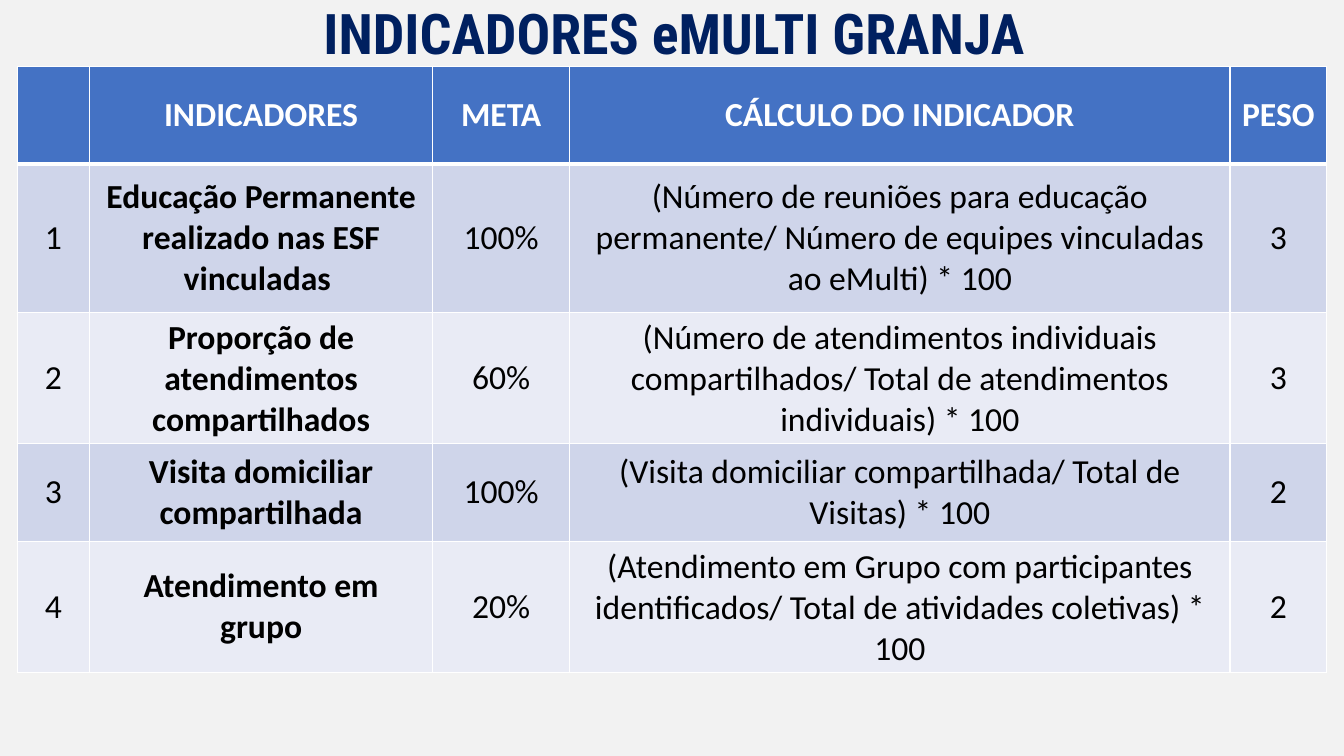
from dataclasses import dataclass

from lxml.etree import SubElement
from pptx import Presentation
from pptx.dml.color import RGBColor
from pptx.enum.text import MSO_ANCHOR, PP_ALIGN
from pptx.oxml.ns import qn
from pptx.util import Inches, Pt

NAVY, BLUE, WHITE, BLACK = "002060", "4472C4", "FFFFFF", "000000"
BACKGROUND = "F2F2F2"
BANDS = ("CFD5EA", "E9EBF5")
COLUMN_WIDTHS = (0.72, 3.4, 1.36, 6.55, 0.96)
HEADERS = ("", "INDICADORES", "META", "CÁLCULO DO INDICADOR", "PESO")
HEADER_HEIGHT = 0.97
HEADER_FONT = {"name": "Calibri", "size": Pt(24), "bold": True}
BODY_FONT = HEADER_FONT | {"bold": False}
TITLE_FONT = {"name": "Roboto Condensed", "size": Pt(40), "bold": True}


@dataclass
class Indicator:
    name: str
    target: str
    formula: str
    weight: int
    height: float


INDICATORS = [
    Indicator("Educação Permanente realizado nas ESF vinculadas ", "100%",
              "(Número de reuniões para educação permanente/ Número de equipes "
              "vinculadas ao eMulti) * 100", 3, 1.47),
    Indicator("Proporção de atendimentos compartilhados", "60%",
              "(Número de atendimentos individuais compartilhados/ Total de "
              "atendimentos individuais) * 100", 3, 1.28),
    Indicator("Visita domiciliar compartilhada", "100%",
              "(Visita domiciliar compartilhada/ Total de Visitas) * 100", 2, 0.97),
    Indicator("Atendimento em grupo", "20%",
              "(Atendimento em Grupo com participantes identificados/ Total de "
              "atividades coletivas) * 100", 2, 1.28),
]


def rgb(value: str) -> RGBColor:
    return RGBColor.from_string(value)


def write(p, text: str, font: dict, color: str) -> None:
    """Put one centred, formatted run in a paragraph."""
    p.alignment = PP_ALIGN.CENTER
    if not text:
        return
    r = p.add_run()
    r.text = text
    for key, value in font.items():
        setattr(r.font, key, value)
    r.font.color.rgb = rgb(color)


def set_borders(cell, top: float = 1, bottom: float = 1) -> None:
    """Draw white borders, widths in points."""
    tc_pr = cell._tc.get_or_add_tcPr()
    for side, width in {"lnL": 1, "lnR": 1, "lnT": top, "lnB": bottom}.items():
        line = SubElement(tc_pr, qn(f"a:{side}"), w=str(Pt(width)))
        SubElement(SubElement(line, qn("a:solidFill")), qn("a:srgbClr"), val=WHITE)


def add_title(s, text: str) -> None:
    tf = s.shapes.add_textbox(Inches(0.17), Inches(-0.07),
                              Inches(13.03), Inches(0.86)).text_frame
    tf.word_wrap = True
    tf.vertical_anchor = MSO_ANCHOR.MIDDLE
    p = tf.paragraphs[0]
    p.line_spacing = 0.9
    write(p, text, TITLE_FONT, NAVY)


def add_indicator_table(s, indicators: list[Indicator]) -> None:
    rows = [HEADERS] + [(str(number), i.name, i.target, i.formula, str(i.weight))
                        for number, i in enumerate(indicators, 1)]
    heights = [HEADER_HEIGHT] + [i.height for i in indicators]
    table = s.shapes.add_table(
        len(rows), len(HEADERS), Inches(0.17), Inches(0.66),
        Inches(sum(COLUMN_WIDTHS)), Inches(sum(heights))).table
    for column, width in zip(table.columns, COLUMN_WIDTHS):
        column.width = Inches(width)
    for row, height in zip(table.rows, heights):
        row.height = Inches(height)

    for y, texts in enumerate(rows):
        is_header = y == 0
        fill = BLUE if is_header else BANDS[(y - 1) % 2]
        color = WHITE if is_header else BLACK
        for x, text in enumerate(texts):
            cell = table.cell(y, x)
            set_borders(cell, top=3 if y == 1 else 1, bottom=3 if is_header else 1)
            cell.fill.solid()
            cell.fill.fore_color.rgb = rgb(fill)
            cell.vertical_anchor = MSO_ANCHOR.MIDDLE
            font = HEADER_FONT if is_header or x == 1 else BODY_FONT
            write(cell.text_frame.paragraphs[0], text, font, color)


def main() -> None:
    prs = Presentation()
    prs.slide_width, prs.slide_height = Inches(13.33), Inches(7.5)
    s = prs.slides.add_slide(prs.slide_layouts[6])
    s.background.fill.solid()
    s.background.fill.fore_color.rgb = rgb(BACKGROUND)

    # Title and table
    add_title(s, "INDICADORES eMULTI GRANJA")
    add_indicator_table(s, INDICATORS)
    prs.save("out.pptx")


if __name__ == "__main__":
    main()
